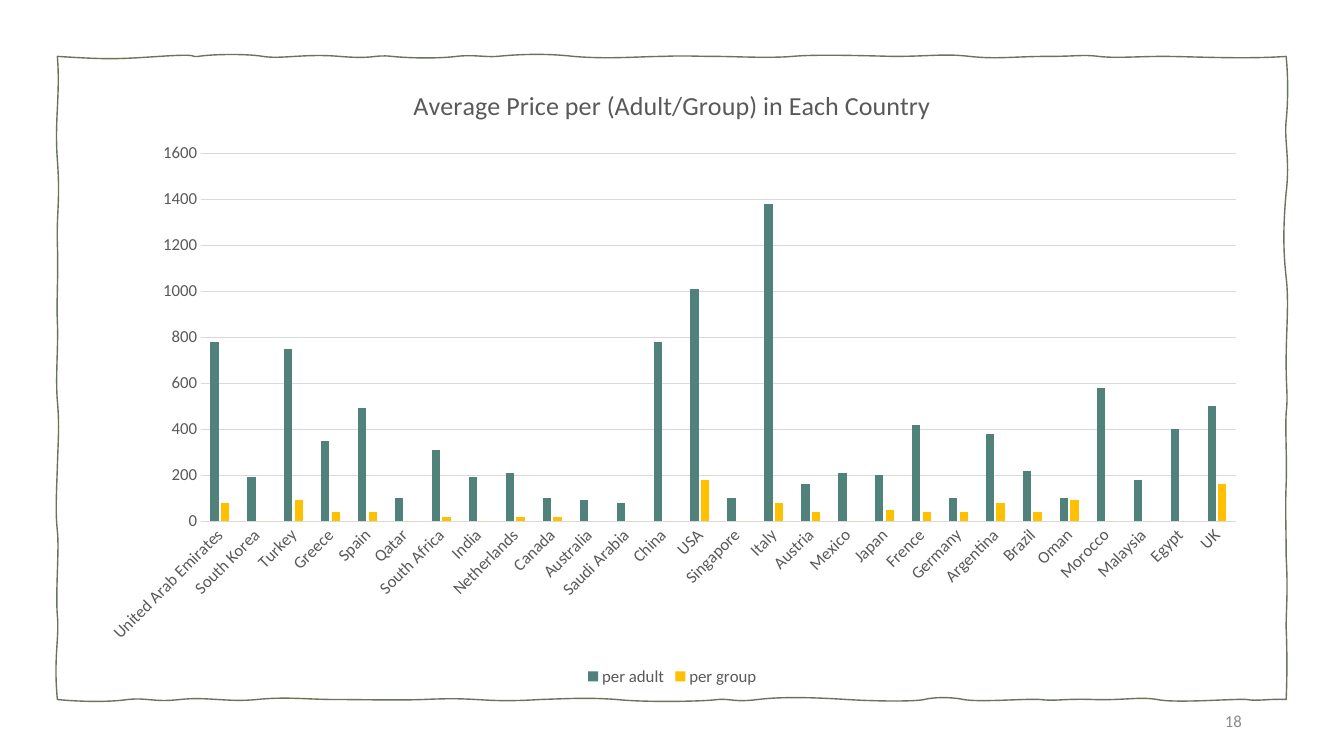
from dataclasses import dataclass

from lxml import etree
from pptx import Presentation
from pptx.chart.data import CategoryChartData
from pptx.dml.color import RGBColor
from pptx.enum.chart import XL_CHART_TYPE, XL_LEGEND_POSITION, XL_TICK_MARK
from pptx.enum.text import MSO_ANCHOR, PP_ALIGN
from pptx.oxml.ns import qn
from pptx.util import Inches, Pt


@dataclass(frozen=True)
class Theme:
    font: str = "Calibri"
    base: RGBColor = RGBColor(0x00, 0x00, 0x00)
    text: RGBColor = RGBColor(0x59, 0x59, 0x59)
    number: RGBColor = RGBColor(0x8C, 0x8C, 0x8C)
    grid: RGBColor = RGBColor(0xD9, 0xD9, 0xD9)
    frame: RGBColor = RGBColor(0x69, 0x74, 0x5D)
    adult: RGBColor = RGBColor(0x51, 0x81, 0x7B)
    group: RGBColor = RGBColor(0xFF, 0xC0, 0x00)
    title_size: float = 18.6
    label_size: float = 12
    base_size: float = 10


THEME = Theme()

# Country, price per adult, price per group
PRICES = [
    ("United Arab Emirates", 780, 80), ("South Korea", 190, 0), ("Turkey", 750, 90),
    ("Greece", 350, 40), ("Spain", 490, 40), ("Qatar", 100, 0),
    ("South Africa", 310, 20), ("India", 190, 0), ("Netherlands", 210, 20),
    ("Canada", 100, 20), ("Australia", 90, 0), ("Saudi Arabia", 80, 0),
    ("China", 780, 0), ("USA", 1010, 180), ("Singapore", 100, 0),
    ("Italy", 1380, 80), ("Austria", 160, 40), ("Mexico", 210, 0),
    ("Japan", 200, 50), ("Frence", 420, 40), ("Germany", 100, 40),
    ("Argentina", 380, 80), ("Brazil", 220, 40), ("Oman", 100, 90),
    ("Morocco", 580, 0), ("Malaysia", 180, 0), ("Egypt", 400, 0), ("UK", 500, 160),
]

# Hand-drawn frame: each stroke has two bends (place along the side, hundredths
# of an inch off the straight edge) and the place along the side where it ends
LEFT, TOP, RIGHT, BOTTOM = 0.57, 0.56, 12.76, 6.94
TOP_STROKES = [
    (1.06, 3, 1.13, 3, 1.58), (2.03, -3, 1.86, 1, 1.97), (2.08, -2, 2.43, -3, 2.61),
    (2.79, 3, 3.02, -3, 3.37), (3.73, 3, 3.7, -2, 3.89), (4.09, 2, 4.37, 2, 4.53),
    (4.69, -2, 4.82, 1, 4.93), (5.04, -1, 5.34, -4, 5.69), (6.04, 3, 6.36, 0, 6.58),
    (6.79, -1, 6.9, 0, 7.09), (7.29, 0, 7.63, 2, 7.86), (8.08, -2, 8.48, -1, 8.86),
    (9.24, 0, 9.36, -3, 9.62), (9.89, 3, 10.07, 0, 10.39), (10.7, 0, 10.73, -2, 10.9),
    (11.07, 2, 11.28, 0, 11.54), (11.8, 0, 12.35, 3, RIGHT),
]
RIGHT_STROKES = [
    (0.76, 2, 1.01, 2, 1.2), (1.4, -2, 1.58, 4, 1.91), (2.24, -3, 2.49, -3, 2.75),
    (3.01, 3, 3.27, 0, 3.59), (3.9, 0, 3.9, 2, 4.1), (4.31, -1, 4.54, 1, 4.81),
    (5.08, -1, 5.17, 0, 5.52), (5.87, 2, 6.03, 0, 6.23), (6.43, 1, 6.75, 1, BOTTOM),
]
BOTTOM_STROKES = [
    (12.6, -1, 12.47, 2, 12.37), (12.26, -1, 11.66, 4, 11.48), (11.3, -3, 11.16, 1, 10.84),
    (10.53, -1, 10.48, 2, 10.32), (10.16, -1, 9.72, 3, 9.56), (9.41, -3, 9.25, -2, 9.17),
    (9.08, 2, 8.73, 2, 8.4), (8.08, -2, 7.76, -3, 7.52), (7.28, 3, 7.26, -1, 7.12),
    (6.99, 2, 6.39, 3, 6.12), (5.84, -2, 5.67, -1, 5.36), (5.04, 2, 4.89, 1, 4.72),
    (4.54, -1, 4.44, -1, 4.2), (3.95, 1, 3.57, 0, 3.31), (3.06, 0, 2.84, -3, 2.55),
    (2.26, 3, 2.05, -3, 1.79), (1.52, 3, 1.47, -2, 1.27), (1.07, 3, 0.76, 2, LEFT),
]
LEFT_STROKES = [
    (6.53, -4, 6.33, 2, 6.11), (5.88, -2, 5.45, 2, 5.27), (5.08, -2, 4.93, -1, 4.62),
    (4.31, 1, 4.21, 2, 3.98), (3.75, -2, 3.43, 1, 3.2), (2.98, -1, 2.74, 1, 2.43),
    (2.12, -1, 1.99, 3, 1.59), (1.19, -3, 0.95, 3, TOP),
]


def style_font(font, size, color):
    font.name = THEME.font
    font.size = Pt(size)
    font.bold = False
    font.color.rgb = color


def style_line(line, color, width):
    line.color.rgb = color
    line.width = Pt(width)


def style_axis(axis):
    axis.major_tick_mark = axis.minor_tick_mark = XL_TICK_MARK.NONE
    style_font(axis.tick_labels.font, THEME.label_size, THEME.text)
    # Let the labels slant by themselves where they need to
    body = next(axis._element.iter(qn("a:bodyPr")))
    body.set("rot", "-60000000")
    body.set("vert", "horz")


def add_page_number(slide, number):
    box = slide.shapes.add_textbox(Inches(9.42), Inches(6.95), Inches(3), Inches(0.4))
    frame = box.text_frame
    frame.word_wrap = True
    frame.vertical_anchor = MSO_ANCHOR.MIDDLE
    paragraph = frame.paragraphs[0]
    paragraph.text = number
    paragraph.alignment = PP_ALIGN.RIGHT
    style_font(paragraph.font, THEME.label_size, THEME.number)


def add_price_chart(slide):
    countries, adult_prices, group_prices = zip(*PRICES)
    data = CategoryChartData()
    data.categories = countries
    data.add_series("per adult", adult_prices)
    data.add_series("per group", group_prices)
    chart = slide.shapes.add_chart(
        XL_CHART_TYPE.COLUMN_CLUSTERED,
        Inches(0.85), Inches(0.64), Inches(11.64), Inches(6.21), data,
    ).chart
    style_font(chart.font, THEME.base_size, THEME.base)

    # Title and legend
    chart.has_title = True
    title = chart.chart_title
    title.include_in_layout = False
    paragraph = title.text_frame.paragraphs[0]
    paragraph.text = "Average Price per (Adult/Group) in Each Country"
    style_font(paragraph.font, THEME.title_size, THEME.text)
    chart.has_legend = True
    chart.legend.position = XL_LEGEND_POSITION.BOTTOM
    chart.legend.include_in_layout = False
    style_font(chart.legend.font, THEME.label_size, THEME.text)

    # Axes
    style_axis(chart.category_axis)
    style_line(chart.category_axis.format.line, THEME.grid, 0.75)
    style_axis(chart.value_axis)
    chart.value_axis.format.line.fill.background()
    style_line(chart.value_axis.major_gridlines.format.line, THEME.grid, 0.75)

    # Columns
    plot = chart.plots[0]
    plot.vary_by_categories = False
    plot.gap_width = 219
    plot.overlap = -27
    for series, color in zip(plot.series, (THEME.adult, THEME.group)):
        series.format.fill.solid()
        series.format.fill.fore_color.rgb = color
        series.invert_if_negative = False


def side_points(strokes, edge):
    """Return (along, across) points, three for each stroke."""
    points = []
    for first, first_bend, second, second_bend, end in strokes:
        points += [(first, edge + first_bend / 100), (second, edge + second_bend / 100), (end, edge)]
    return points


def curve_segments(shape):
    """Turn each three straight segments of a freeform into one cubic curve."""
    lines = list(shape._element.iter(qn("a:lnTo")))
    for first, second, third in zip(lines[::3], lines[1::3], lines[2::3]):
        curve = etree.Element(qn("a:cubicBezTo"))
        first.addprevious(curve)
        for line in (first, second, third):
            curve.append(line[0])
            line.getparent().remove(line)


def add_wavy_frame(slide):
    points = side_points(TOP_STROKES, TOP)
    points += [(x, y) for y, x in side_points(RIGHT_STROKES, RIGHT)]
    points += side_points(BOTTOM_STROKES, BOTTOM)
    points += [(x, y) for y, x in side_points(LEFT_STROKES, LEFT)]
    builder = slide.shapes.build_freeform(Inches(LEFT), Inches(TOP))
    builder.add_line_segments([(Inches(x), Inches(y)) for x, y in points], close=True)
    shape = builder.convert_to_shape()
    curve_segments(shape)
    shape.shadow.inherit = False
    shape.fill.background()
    style_line(shape.line, THEME.frame, 1)


def main():
    presentation = Presentation()
    presentation.slide_width = Inches(40 / 3)
    presentation.slide_height = Inches(7.5)
    slide = presentation.slides.add_slide(presentation.slide_layouts[6])
    add_page_number(slide, "18")
    add_price_chart(slide)
    add_wavy_frame(slide)
    presentation.save("out.pptx")


if __name__ == "__main__":
    main()
